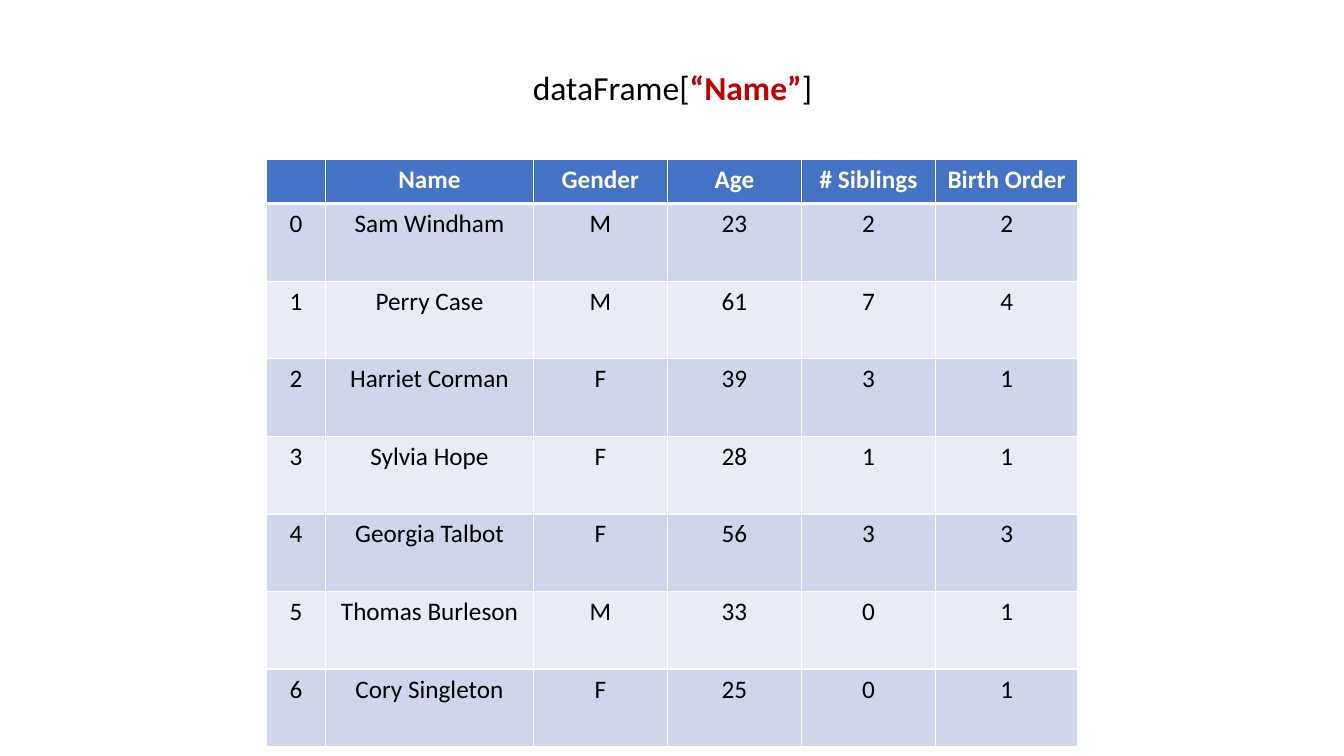
"""Build a slide that shows a data frame and the selection of one column."""
from lxml import etree
from pptx import Presentation
from pptx.dml.color import RGBColor
from pptx.enum.text import MSO_AUTO_SIZE, PP_ALIGN
from pptx.oxml.ns import qn
from pptx.util import Inches, Pt

FONT = "Calibri"
BLACK = RGBColor(0x00, 0x00, 0x00)
WHITE = RGBColor(0xFF, 0xFF, 0xFF)
RED = RGBColor(0xC0, 0x00, 0x00)
HEADER_BLUE = RGBColor(0x44, 0x72, 0xC4)
BANDS = (RGBColor(0xCF, 0xD5, 0xEA), RGBColor(0xE9, 0xEB, 0xF5))

COLUMN_WIDTHS = (0.59, 2.06, 1.33, 1.33, 1.33, 1.41)
HEADER_HEIGHT = 0.44
HEADINGS = ("", "Name", "Gender", "Age", "# Siblings", "Birth Order")
PEOPLE = (
    ("Sam Windham", "M", 23, 2, 2),
    ("Perry Case", "M", 61, 7, 4),
    ("Harriet Corman", "F", 39, 3, 1),
    ("Sylvia Hope", "F", 28, 1, 1),
    ("Georgia Talbot", "F", 56, 3, 3),
    ("Thomas Burleson", "M", 33, 0, 1),
    ("Cory Singleton", "F", 25, 0, 1),
)


def add_run(paragraph, text, size, color, bold=False):
    """Append a formatted run to a paragraph."""
    run = paragraph.add_run()
    run.text = text
    run.font.name = FONT
    run.font.size = Pt(size)
    run.font.bold = bold
    run.font.color.rgb = color


def set_borders(cell, widths):
    """Draw white borders of the given point widths: left, right, top, bottom."""
    properties = cell._tc.get_or_add_tcPr()
    for index, (side, width) in enumerate(zip("LRTB", widths)):
        line = etree.Element(qn(f"a:ln{side}"), w=str(Pt(width)))
        fill = etree.SubElement(line, qn("a:solidFill"))
        etree.SubElement(fill, qn("a:srgbClr"), val=str(WHITE))
        properties.insert(index, line)


def add_expression(slide, left, top, width, height):
    """Write the column selection with its key highlighted."""
    box = slide.shapes.add_textbox(Inches(left), Inches(top), Inches(width), Inches(height))
    frame = box.text_frame
    frame.word_wrap = True
    frame.auto_size = MSO_AUTO_SIZE.SHAPE_TO_FIT_TEXT
    paragraph = frame.paragraphs[0]
    paragraph.alignment = PP_ALIGN.CENTER
    add_run(paragraph, "dataFrame[", 24, BLACK)
    add_run(paragraph, "“Name”", 24, RED, bold=True)
    add_run(paragraph, "]", 24, BLACK)


def add_people_table(slide, left, top, width, height):
    """Draw the indexed people table with a header and banded rows."""
    rows = [HEADINGS] + [(index, *person) for index, person in enumerate(PEOPLE)]
    table = slide.shapes.add_table(
        len(rows), len(HEADINGS), Inches(left), Inches(top), Inches(width), Inches(height)
    ).table
    for column, share in zip(table.columns, COLUMN_WIDTHS):
        column.width = Inches(width * share / sum(COLUMN_WIDTHS))
    body_height = (height - HEADER_HEIGHT) / len(PEOPLE)
    for r, values in enumerate(rows):
        header = r == 0
        table.rows[r].height = Inches(HEADER_HEIGHT if header else body_height)
        for c, value in enumerate(values):
            cell = table.cell(r, c)
            cell.fill.solid()
            cell.fill.fore_color.rgb = HEADER_BLUE if header else BANDS[(r - 1) % 2]
            set_borders(cell, (1, 1, 3 if r == 1 else 1, 3 if header else 1))
            paragraph = cell.text_frame.paragraphs[0]
            paragraph.alignment = PP_ALIGN.CENTER
            if value != "":
                add_run(paragraph, str(value), 18, WHITE if header else BLACK, header)


def main():
    """Assemble and save the slide."""
    presentation = Presentation()
    presentation.slide_width = Inches(13.33)
    presentation.slide_height = Inches(7.5)
    slide = presentation.slides.add_slide(presentation.slide_layouts[6])
    add_people_table(slide, 2.64, 1.58, 8.05, 5.83)
    add_expression(slide, 4.81, 0.61, 3.72, 0.5)
    presentation.save("out.pptx")


main()
